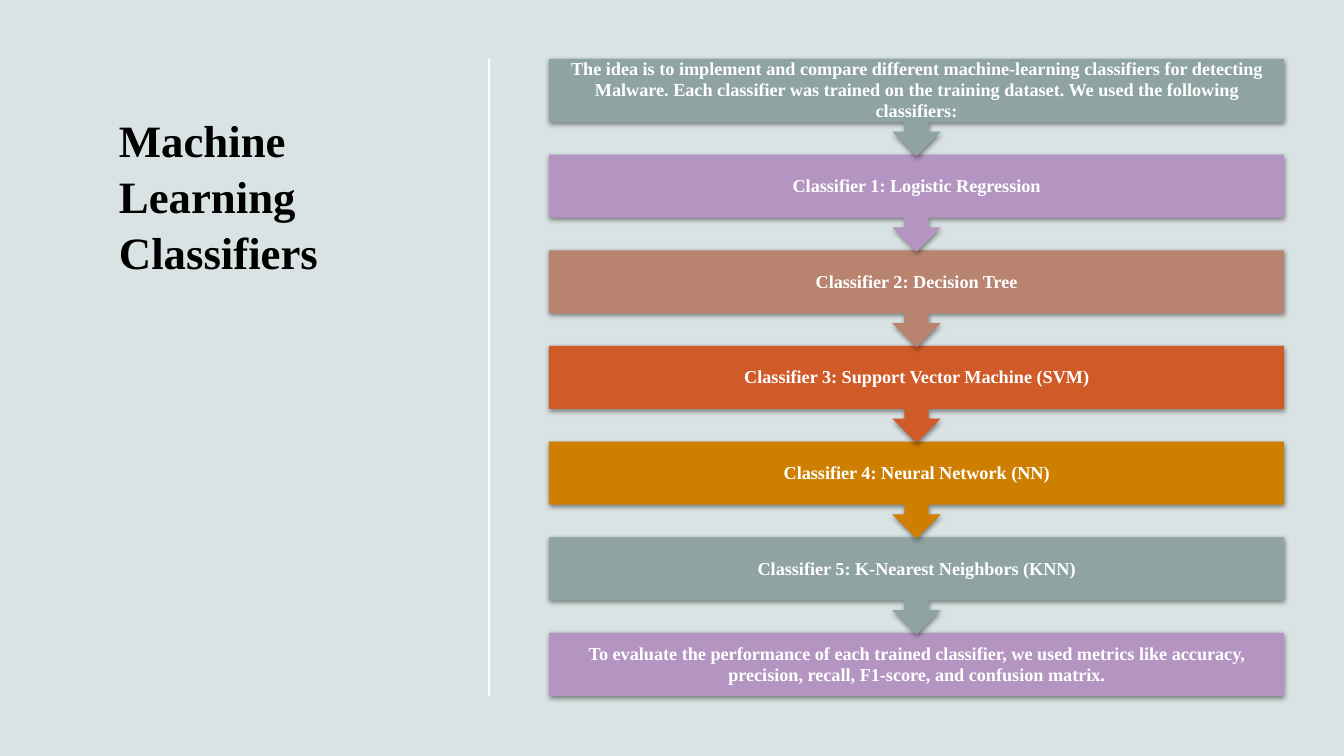
from lxml import etree
from pptx import Presentation
from pptx import util as u
from pptx.dml.color import RGBColor
from pptx.enum import shapes, text
from pptx.oxml.ns import qn

# Content
SAGE = RGBColor(0x8F, 0xA3, 0xA3)
LILAC = RGBColor(0xB4, 0x95, 0xC2)
CLAY = RGBColor(0xB8, 0x84, 0x70)
RUST = RGBColor(0xD1, 0x5A, 0x29)
OCHRE = RGBColor(0xCE, 0x7F, 0x01)
MIST = RGBColor(0xDA, 0xE3, 0xE3)
WHITE = RGBColor(0xFF, 0xFF, 0xFF)
BLACK = RGBColor(0, 0, 0)
FONT = "Times New Roman"

TITLE = "Machine Learning Classifiers"
STEPS = [
    ("The idea is to implement and compare different machine-learning "
     "classifiers for detecting Malware. Each classifier was trained on the "
     "training dataset. We used the following classifiers:", SAGE),
    ("Classifier 1: Logistic Regression", LILAC),
    ("Classifier 2: Decision Tree", CLAY),
    ("Classifier 3: Support Vector Machine (SVM)", RUST),
    ("Classifier 4: Neural Network (NN)", OCHRE),
    ("Classifier 5: K-Nearest Neighbors (KNN)", SAGE),
    ("To evaluate the performance of each trained classifier, we used metrics "
     "like accuracy, precision, recall, F1-score, and confusion matrix.", LILAC),
]

# Layout in px
LEFT, WIDTH = 549, 735
TOP, LAST = 59, 633
BAR, CALL = 63, 97
PITCH = (LAST - TOP) / (len(STEPS) - 1)


def px(n):
    return u.Emu(round(n * 914400 / 100.8))


def write(frame, words, size, color, space):
    frame.word_wrap = True
    para = frame.paragraphs[0]
    para.line_spacing = space
    run = para.add_run()
    run.text = words
    font = run.font
    font.name, font.size, font.bold = FONT, u.Pt(size), True
    font.color.rgb = color
    return para


def shade(shape):
    effects = shape._element.spPr.find(qn("a:effectLst"))
    shadow = etree.SubElement(effects, qn("a:outerShdw"), blurRad="44450",
                              dist="13970", dir="5400000", rotWithShape="0")
    black = etree.SubElement(shadow, qn("a:srgbClr"), val="000000")
    etree.SubElement(black, qn("a:alpha"), val="45000")


def add_step(slide, i, words, color):
    last = i == len(STEPS) - 1
    kind = shapes.MSO_SHAPE.RECTANGLE if last else shapes.MSO_SHAPE.DOWN_ARROW_CALLOUT
    step = slide.shapes.add_shape(kind, px(LEFT), px(TOP + i * PITCH),
                                  px(WIDTH), px(BAR if last else CALL))
    step.shadow.inherit = False
    shade(step)
    step.fill.solid()
    step.fill.fore_color.rgb = color
    step.line.fill.background()
    frame = step.text_frame
    frame.margin_left = frame.margin_right = px(10)
    frame.margin_top = frame.margin_bottom = 0
    frame.vertical_anchor = text.MSO_ANCHOR.MIDDLE
    para = write(frame, words, 13, WHITE, 0.96)
    para.alignment = text.PP_ALIGN.CENTER


def main():
    deck = Presentation()
    deck.slide_width, deck.slide_height = px(1344), px(756)
    slide = deck.slides.add_slide(deck.slide_layouts[6])
    slide.background.fill.solid()
    slide.background.fill.fore_color.rgb = MIST

    # Title
    title = slide.shapes.add_textbox(px(109), px(106), px(308), px(517))
    write(title.text_frame, TITLE, 32, BLACK, 1.04)

    # Divider
    rule = slide.shapes.add_connector(shapes.MSO_CONNECTOR.STRAIGHT,
                                      px(489), px(59), px(489), px(696))
    rule.line.color.rgb = WHITE
    rule.line.width = u.Pt(1)
    etree.SubElement(rule._element.spPr, qn("a:effectLst"))

    # Steps, lowest first so that each arrow tip lies over the next bar
    for i, (words, color) in reversed(list(enumerate(STEPS))):
        add_step(slide, i, words, color)

    deck.save("out.pptx")


if __name__ == "__main__":
    main()
